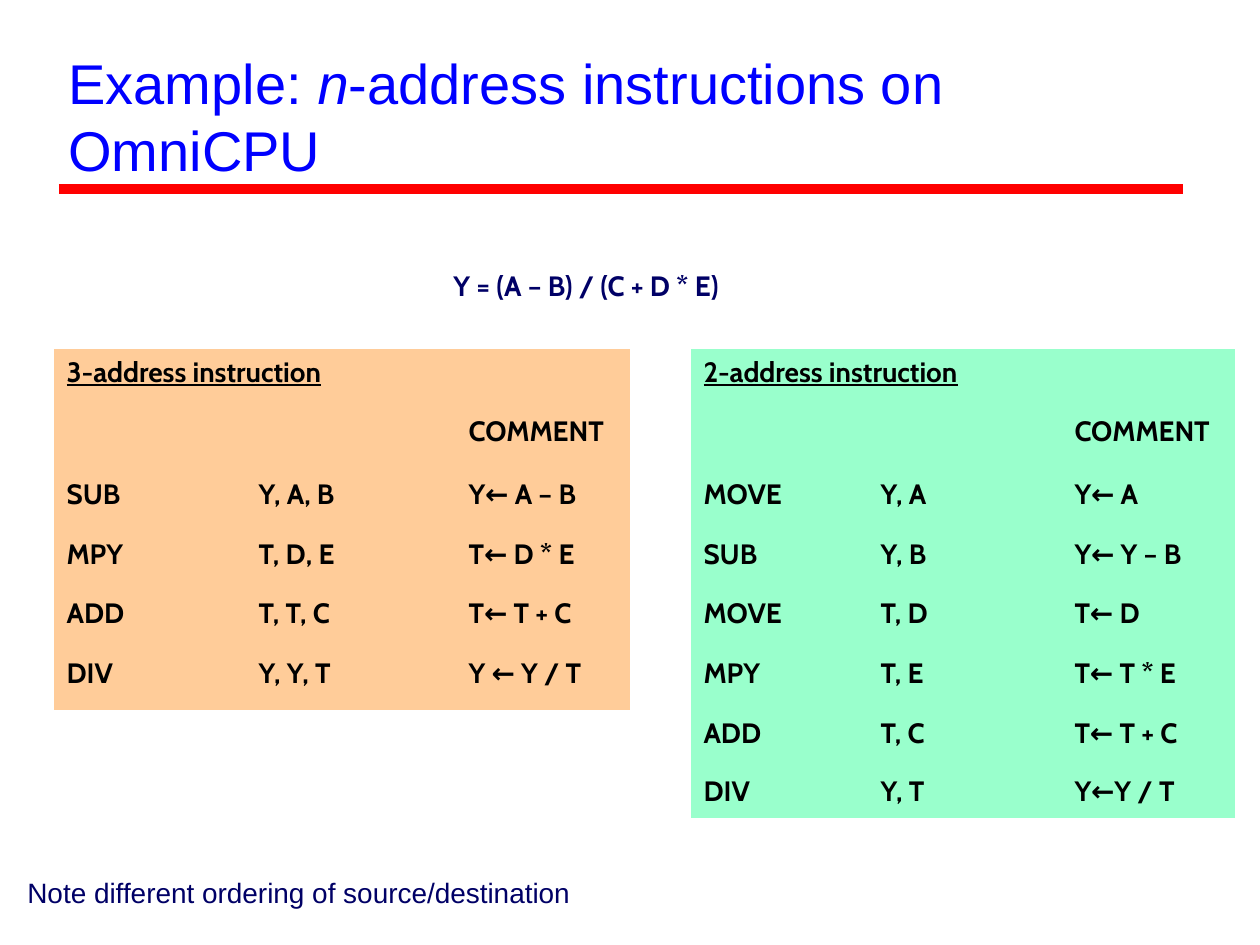
import pptx
import pptx.util
import pptx.dml.color
import pptx.enum.shapes
import pptx.enum.text
import pptx.oxml.ns
import lxml.etree

PX = 914400 // 126
COLORS = {"title": "0000FF", "rule": "FF0000", "navy": "000066",
          "black": "000000", "orange": "FFCC99", "green": "99FFCC"}
NO_STYLE_NO_GRID = "{2D5ABB26-0587-4C30-8999-92F81FD0307C}"


def style(font, name, size, color, bold=False):
    font.name = name
    font.size = pptx.util.Pt(size)
    font.bold = bold
    font.color.rgb = pptx.dml.color.RGBColor.from_string(COLORS[color])


def add_text(page, bounds, pieces, name, size, color, bold=False):
    """Add a one-paragraph text box with one run for each piece."""
    box = page.shapes.add_textbox(*[length * PX for length in bounds])
    box.text_frame.word_wrap = True
    para = box.text_frame.paragraphs[0]
    for piece in pieces:
        span = para.add_run()
        span.text = piece
        style(span.font, name, size, color, bold)
    return box


deck = pptx.Presentation()
deck.slide_width = 1260 * PX
deck.slide_height = 945 * PX
page = deck.slides.add_slide(deck.slide_layouts[6])

# Title and rule
rule = page.shapes.add_connector(
    pptx.enum.shapes.MSO_CONNECTOR.STRAIGHT, 59 * PX, 189 * PX, 1183 * PX, 189 * PX)
rule.line.width = pptx.util.Pt(6)
rule.line.color.rgb = pptx.dml.color.RGBColor.from_string(COLORS["rule"])
lxml.etree.SubElement(rule._element.spPr, pptx.oxml.ns.qn("a:effectLst"))

title = add_text(page, (56, 31, 1130, 158),
                 ["Example: ", "n", "-address instructions on OmniCPU"],
                 "Arial", 32, "title")
title.text_frame.vertical_anchor = pptx.enum.text.MSO_ANCHOR.BOTTOM
title.text_frame.paragraphs[0].runs[1].font.italic = True

# Instruction tables
row_heights = [59, 63, 60, 59, 60, 60, 59, 49]
programs = [
    ("3-address instruction", "orange", 54, [192, 210, 174], [
        ("SUB", "Y, A, B", "Y← A – B"),
        ("MPY", "T, D, E", "T← D * E"),
        ("ADD", "T, T, C", "T← T + C"),
        ("DIV", "Y, Y, T", "Y ← Y / T"),
    ]),
    ("2-address instruction", "green", 691, [177, 194, 173], [
        ("MOVE", "Y, A", "Y← A"),
        ("SUB", "Y, B", "Y← Y – B"),
        ("MOVE", "T, D", "T← D"),
        ("MPY", "T, E", "T← T * E"),
        ("ADD", "T, C", "T← T + C"),
        ("DIV", "Y, T", "Y←Y / T"),
    ]),
]
for heading, fill, left, column_widths, instructions in programs:
    rows = [(heading, "", ""), ("", "", "COMMENT")] + instructions
    heights = row_heights[:len(rows)]
    table = page.shapes.add_table(
        len(rows), 3, left * PX, 349 * PX,
        sum(column_widths) * PX, sum(heights) * PX).table
    table.first_row = False
    table.horz_banding = False
    table._tbl.tblPr.find(pptx.oxml.ns.qn("a:tableStyleId")).text = NO_STYLE_NO_GRID
    for column, width in zip(table.columns, column_widths):
        column.width = width * PX
    for row, height, texts in zip(table.rows, heights, rows):
        row.height = height * PX
        for cell, text in zip(row.cells, texts):
            cell.fill.solid()
            cell.fill.fore_color.rgb = pptx.dml.color.RGBColor.from_string(COLORS[fill])
            para = cell.text_frame.paragraphs[0]
            para.text = text
            style(para.font, "Cabin", 16, "black", True)
            for span in para.runs:
                style(span.font, "Cabin", 16, "black", True)
                span.font.underline = text == heading
    table.cell(0, 0).merge(table.cell(0, 2))

# Formula and note
add_text(page, (441, 262, 372, 47), ["Y = (A – B) / (C + D * E)"],
         "Cabin", 16, "navy", True)
add_text(page, (15, 869, 625, 59), ["Note different ordering of source/destination"],
         "Arial", 16, "navy")

deck.save("out.pptx")
